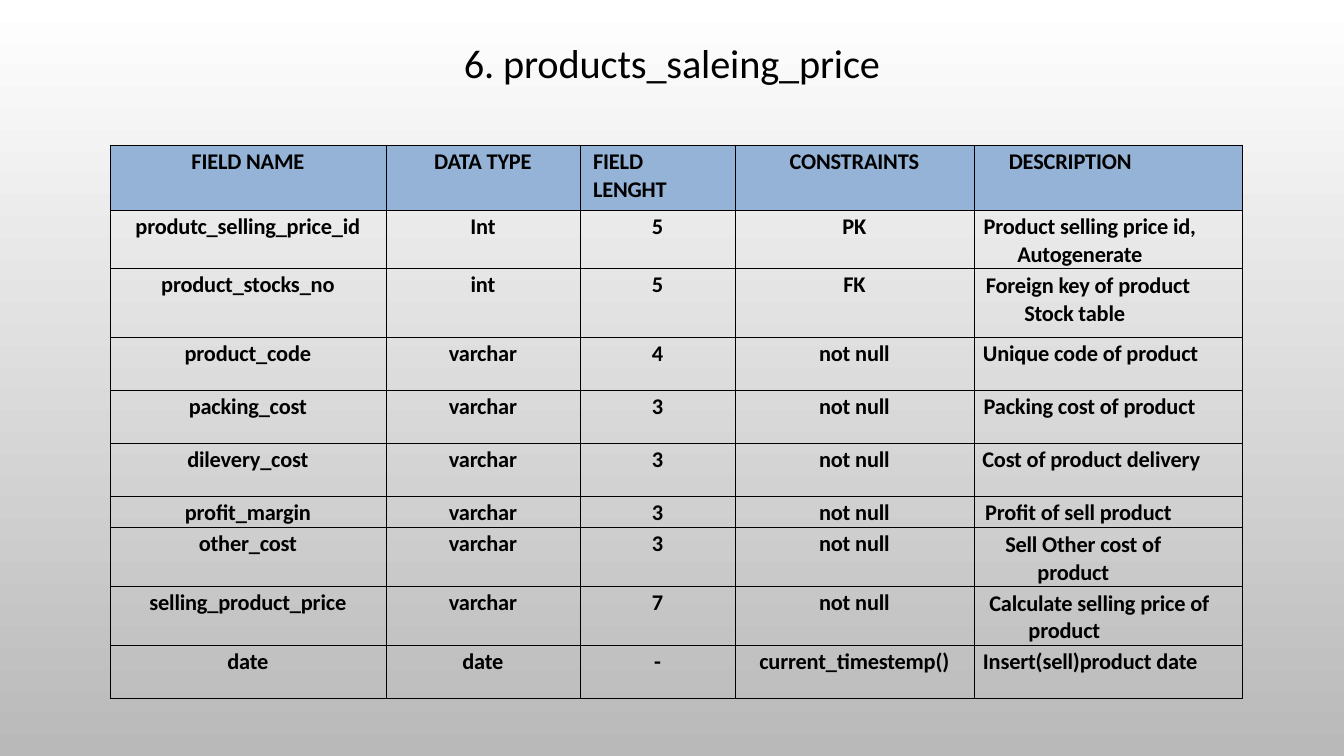
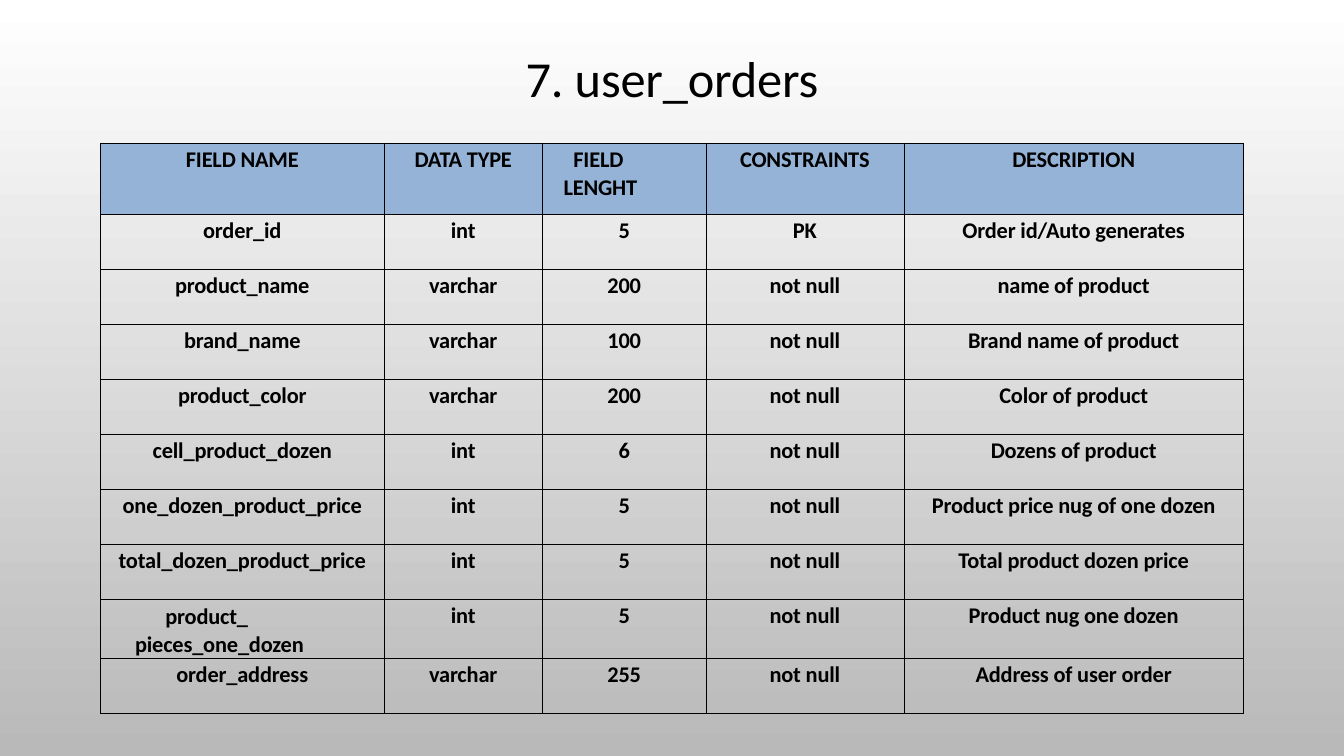
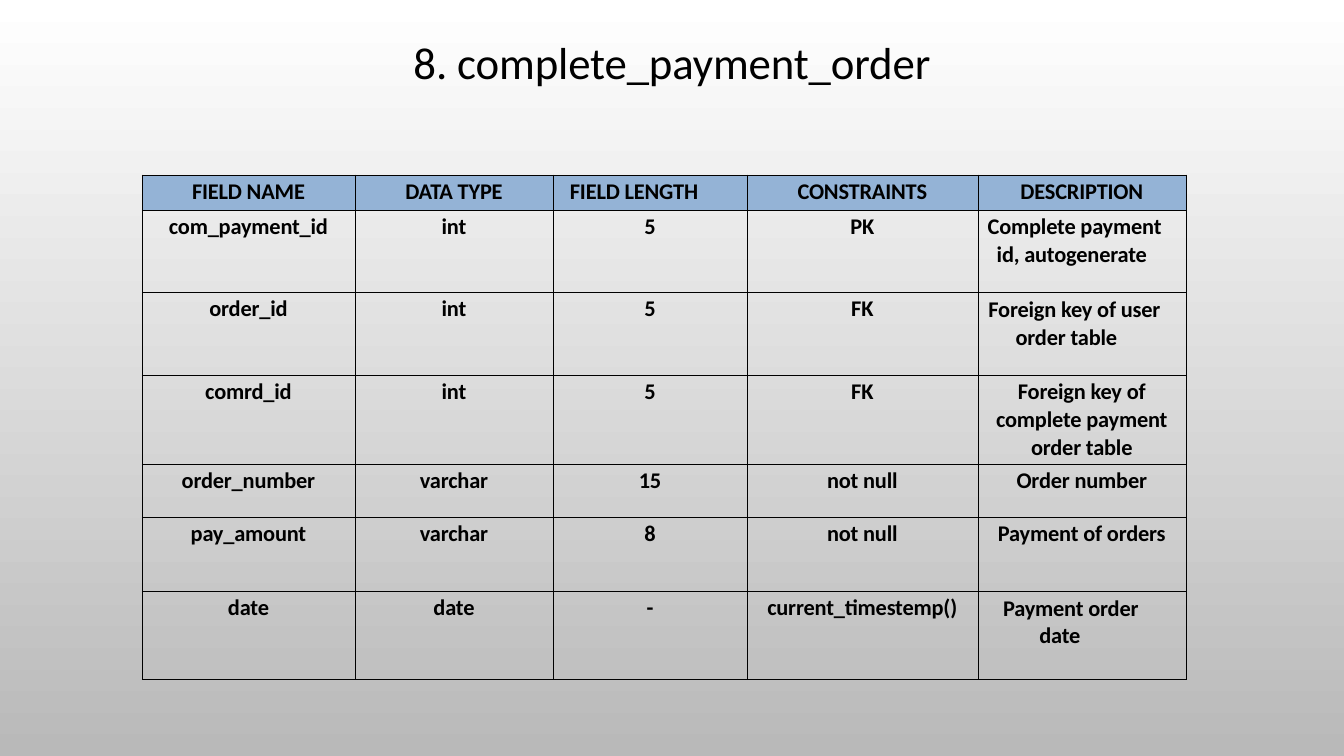
import copy

import pptx
import pptx.dml.color
import pptx.enum.text
import pptx.oxml
import pptx.oxml.ns
import pptx.util

Pt = pptx.util.Pt
qn = pptx.oxml.ns.qn
ANCHOR = pptx.enum.text.MSO_ANCHOR
ALIGN = pptx.enum.text.PP_ALIGN

HEADER_FILL = "94B3D6"
TEXT = "000000"
BORDER = "000000"
CELL_MARGINS = {"margin_left": 0, "margin_top": Pt(2), "margin_right": 0, "margin_bottom": 0}
CELL_FONT = {"name": "Calibri", "size": Pt(16), "bold": True}


def rgb(value):
    return pptx.dml.color.RGBColor.from_string(value)


def format_text(p, font):
    """Apply one font to every run and line break of a paragraph."""
    for r in p.runs:
        for name, value in font.items():
            setattr(r.font, name, value)
        r.font.color.rgb = rgb(TEXT)
        r._r.get_or_add_rPr().set("spc", "-10")
    for br in p._p.findall(qn("a:br")):
        br.append(copy.deepcopy(p.runs[0]._r.rPr))


# Slide content: a "\v" is a line break; indents maps (row, column) of a
# left-aligned cell to its left margin and first-line indent
SLIDES = [
    {
        "title": "6. products_saleing_price", "size": 28.8,
        "title_box": (72, 27.4, 816, 70.6), "anchor": ANCHOR.TOP,
        "at": (78.5, 103.5),
        "cols": [197.2, 138.6, 110.7, 170.7, 192.1],
        "heights": [46.5, 40.3, 49, 38, 38, 38, 22.2, 41, 40.3, 38],
        "rows": [
            ("FIELD NAME", "DATA TYPE", "FIELD\vLENGHT", "CONSTRAINTS", "DESCRIPTION"),
            ("produtc_selling_price_id", "Int", "5", "PK", "Product selling price id,\vAutogenerate"),
            ("product_stocks_no", "int", "5", "FK", "Foreign key of product\vStock table"),
            ("product_code", "varchar", "4", "not null", "Unique code of product"),
            ("packing_cost", "varchar", "3", "not null", "Packing cost of product"),
            ("dilevery_cost", "varchar", "3", "not null", "Cost of product delivery"),
            ("profit_margin", "varchar", "3", "not null", "Profit of sell product"),
            ("other_cost", "varchar", "3", "not null", "Sell Other cost of\vproduct"),
            ("selling_product_price", "varchar", "7", "not null", "Calculate selling price of\vproduct"),
            ("date", "date", "-", "current_timestemp()", "Insert(sell)product date"),
        ],
        "indents": {
            (0, 2): (9.4, 0), (0, 4): (25, 0), (1, 4): (31, -24), (2, 4): (36, -27.5),
            (3, 4): (6.5, 0), (4, 4): (7, 0), (5, 4): (6, 0), (6, 4): (8, 0),
            (7, 4): (45.4, -23), (8, 4): (39, -28), (9, 4): (6.5, 0),
        },
    },
    {
        "title": "7. user_orders", "size": 36,
        "title_box": (72, 13, 816, 89.3), "anchor": ANCHOR.MIDDLE,
        "at": (72, 102.2),
        "cols": [202.2, 113.4, 116.6, 141.5, 242.6],
        "heights": [51] + [39.3] * 7 + [40.5, 39.3],
        "rows": [
            ("FIELD NAME", "DATA TYPE", "FIELD\vLENGHT", "CONSTRAINTS", "DESCRIPTION"),
            ("order_id", "int", "5", "PK", "Order id/Auto generates"),
            ("product_name", "varchar", "200", "not null", "name of product"),
            ("brand_name", "varchar", "100", "not null", "Brand name of product"),
            ("product_color", "varchar", "200", "not null", "Color of product"),
            ("cell_product_dozen", "int", "6", "not null", "Dozens of product"),
            ("one_dozen_product_price", "int", "5", "not null", "Product price nug of one dozen"),
            ("total_dozen_product_price", "int", "5", "not null", "Total product dozen price"),
            ("product_\vpieces_one_dozen", "int", "5", "not null", "Product nug one dozen"),
            ("order_address", "varchar", "255", "not null", "Address of user order"),
        ],
        "indents": {(0, 2): (15, 7), (8, 0): (24.5, 21.6)},
    },
    {
        "title": "8. complete_payment_order", "size": 32,
        "title_box": (72, 0, 816, 93), "anchor": ANCHOR.MIDDLE,
        "at": (101.5, 125),
        "cols": [152, 141.6, 138.4, 165, 148.6],
        "heights": [25, 59, 59, 63.5, 38, 53, 63],
        "rows": [
            ("FIELD NAME", "DATA TYPE", "FIELD LENGTH", "CONSTRAINTS", "DESCRIPTION"),
            ("com_payment_id", "int", "5", "PK", "Complete payment\vid, autogenerate"),
            ("order_id", "int", "5", "FK", "Foreign key of user\vorder table"),
            ("comrd_id", "int", "5", "FK", "Foreign key of\vcomplete payment\vorder table"),
            ("order_number", "varchar", "15", "not null", "Order number"),
            ("pay_amount", "varchar", "8", "not null", "Payment of orders"),
            ("date", "date", "-", "current_timestemp()", "Payment order\vdate"),
        ],
        "indents": {(0, 2): (12, 0), (1, 4): (13.5, -6.5), (2, 4): (27, -19.5), (6, 4): (44, -26)},
    },
]

prs = pptx.Presentation()
prs.slide_width, prs.slide_height = Pt(960), Pt(540)

# Shared background on the master
fill = prs.slide_master.background.fill
fill.gradient()
fill.gradient_angle = 270
for stop, position, color in zip(fill.gradient_stops, (0, 1), ("FFFFFF", "B9B9B9")):
    stop.position = position
    stop.color.rgb = rgb(color)

for data in SLIDES:
    s = prs.slides.add_slide(prs.slide_layouts[5])

    # Title
    sp = s.shapes.title
    for name, value in zip(("left", "top", "width", "height"), data["title_box"]):
        setattr(sp, name, Pt(value))
    tf = sp.text_frame
    tf.text = data["title"]
    tf.auto_size = pptx.enum.text.MSO_AUTO_SIZE.NONE
    tf.vertical_anchor = data["anchor"]
    p = tf.paragraphs[0]
    p.alignment = ALIGN.CENTER
    p.line_spacing = 0.9
    format_text(p, {"name": "Calibri", "size": Pt(data["size"])})

    # Table grid
    rows, cols, heights = data["rows"], data["cols"], data["heights"]
    left, top = data["at"]
    table = s.shapes.add_table(len(rows), len(cols), Pt(left), Pt(top),
                               Pt(sum(cols)), Pt(sum(heights))).table
    table.first_row = table.horz_banding = False
    for column, width in zip(table.columns, cols):
        column.width = Pt(width)
    for row, height in zip(table.rows, heights):
        row.height = Pt(height)

    # Cells
    for i, row in enumerate(rows):
        for j, text in enumerate(row):
            cell = table.cell(i, j)
            for name, value in CELL_MARGINS.items():
                setattr(cell, name, value)
            tcPr = cell._tc.get_or_add_tcPr()
            for side in ("lnL", "lnR", "lnT", "lnB"):
                tcPr.append(pptx.oxml.parse_xml(
                    f'<a:{side} {pptx.oxml.ns.nsdecls("a")} w="{Pt(0.5)}"><a:solidFill>'
                    f'<a:srgbClr val="{BORDER}"/></a:solidFill></a:{side}>'))
            if i == 0:
                cell.fill.solid()
                cell.fill.fore_color.rgb = rgb(HEADER_FILL)
            else:
                cell.fill.background()

            p = cell.text_frame.paragraphs[0]
            p.text = text
            p.alignment = ALIGN.CENTER
            if (i, j) in data["indents"]:
                p.alignment = ALIGN.LEFT
                for name, value in zip(("marL", "indent"), data["indents"][i, j]):
                    p._p.get_or_add_pPr().set(name, str(Pt(value)))
            if "\v" in text:
                p.line_spacing = 1.02
            format_text(p, CELL_FONT)

prs.save("out.pptx")
